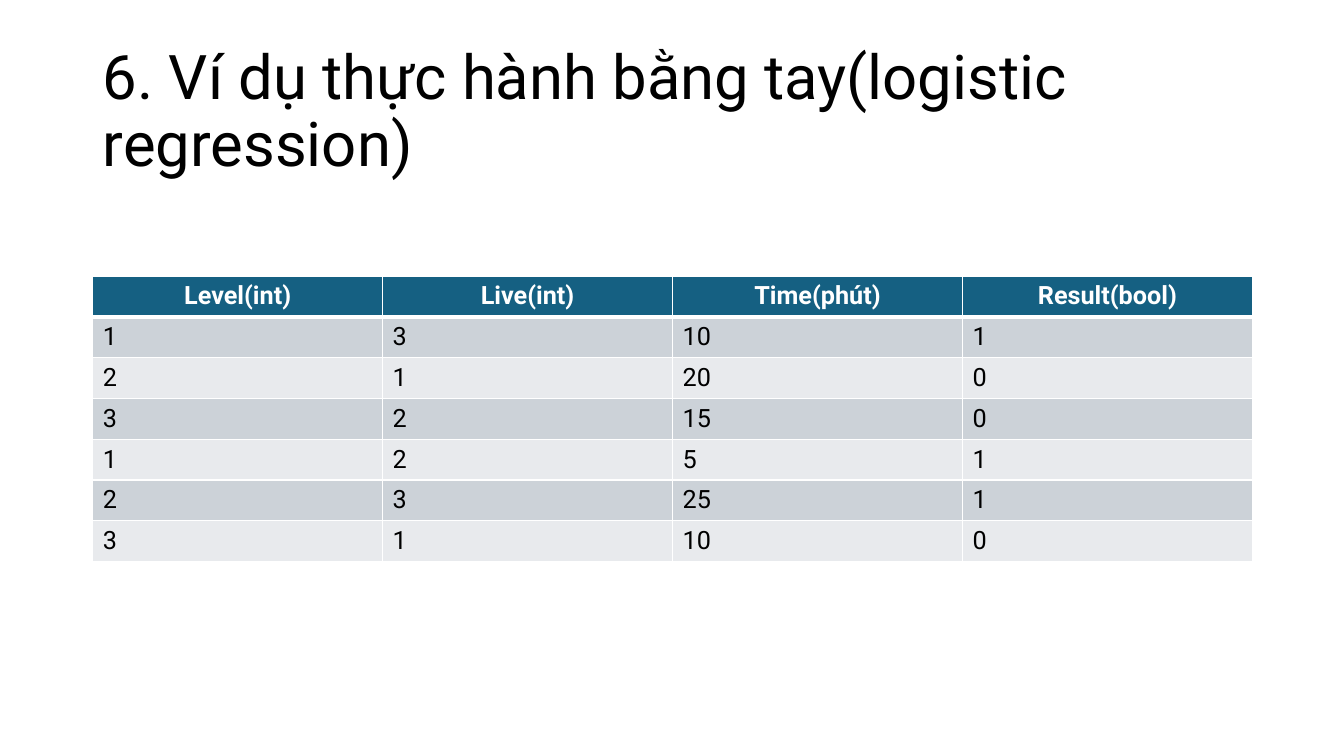
"""Build the slide with the hand-worked logistic regression data table."""
import dataclasses

import lxml.etree
import pptx
import pptx.dml.color
import pptx.enum.text
import pptx.oxml.ns
import pptx.util

FONT = "Roboto"
WIDTH, HEIGHT = pptx.util.Inches(13.33), pptx.util.Inches(7.5)
LEFT, SPAN = 0.069, 0.863
ALIGN = pptx.enum.text.PP_ALIGN
MIDDLE = pptx.enum.text.MSO_ANCHOR.MIDDLE


@dataclasses.dataclass(frozen=True)
class RowStyle:
    """Look of one kind of table row."""
    fill: str
    color: str
    bold: bool
    align: ALIGN
    top: int = 1
    bottom: int = 1


HEADER = RowStyle("156082", "FFFFFF", True, ALIGN.CENTER, bottom=3)
FIRST = RowStyle("CCD2D8", "000000", False, ALIGN.LEFT, top=3)
ODD = dataclasses.replace(FIRST, top=1)
EVEN = dataclasses.replace(ODD, fill="E8EAED")

ROWS = [
    ("Level(int)", "Live(int)", "Time(phút)", "Result(bool)"),
    (1, 3, 10, 1),
    (2, 1, 20, 0),
    (3, 2, 15, 0),
    (1, 2, 5, 1),
    (2, 3, 25, 1),
    (3, 1, 10, 0),
]
STYLES = [HEADER, FIRST, EVEN, ODD, EVEN, ODD, EVEN]


def rgb(value: str) -> pptx.dml.color.RGBColor:
    """Turn a hex string into a colour."""
    return pptx.dml.color.RGBColor.from_string(value)


def write(tf, text: str, size: int, color: str, bold: bool, align: ALIGN) -> None:
    """Put one formatted run into the first paragraph of a text frame."""
    p = tf.paragraphs[0]
    p.alignment = align
    r = p.add_run()
    r.text = text
    r.font.name, r.font.size, r.font.bold = FONT, pptx.util.Pt(size), bold
    r.font.color.rgb = rgb(color)


def border(cell, side: str, points: int) -> None:
    """Add a white line on one side of a cell."""
    qn = pptx.oxml.ns.qn
    ln = lxml.etree.SubElement(cell._tc.get_or_add_tcPr(), qn(f"a:ln{side}"),
                               w=str(pptx.util.Pt(points)))
    fill = lxml.etree.SubElement(ln, qn("a:solidFill"))
    lxml.etree.SubElement(fill, qn("a:srgbClr"), val="FFFFFF")


def draw_cell(cell, text: str, style: RowStyle) -> None:
    """Fill, frame and write one table cell."""
    for side, points in zip("LRTB", (1, 1, style.top, style.bottom)):
        border(cell, side, points)
    cell.fill.solid()
    cell.fill.fore_color.rgb = rgb(style.fill)
    cell.vertical_anchor = MIDDLE
    write(cell.text_frame, text, 18, style.color, style.bold, style.align)


def draw_title(s, text: str) -> None:
    """Move the title placeholder into place and write it."""
    sp = s.shapes.title
    sp.left, sp.top = int(LEFT * WIDTH), int(0.053 * HEIGHT)
    sp.width, sp.height = int(SPAN * WIDTH), int(0.193 * HEIGHT)
    tf = sp.text_frame
    tf.word_wrap, tf.vertical_anchor = True, MIDDLE
    tf.auto_size = pptx.enum.text.MSO_AUTO_SIZE.NONE
    write(tf, text, 44, "000000", False, ALIGN.LEFT)
    tf.paragraphs[0].line_spacing = 0.9


def draw_table(s) -> None:
    """Add the data table with equal rows and columns."""
    table = s.shapes.add_table(
        len(ROWS), len(ROWS[0]), int(LEFT * WIDTH), int(0.365 * HEIGHT),
        int(SPAN * WIDTH), int(0.378 * HEIGHT)).table
    for row, values, style in zip(table.rows, ROWS, STYLES):
        for cell, value in zip(row.cells, values):
            draw_cell(cell, str(value), style)


def main() -> None:
    """Build and save the presentation."""
    prs = pptx.Presentation()
    prs.slide_width, prs.slide_height = WIDTH, HEIGHT
    s = prs.slides.add_slide(prs.slide_layouts.get_by_name("Title Only"))
    draw_title(s, "6. Ví dụ thực hành bằng tay(logistic regression)")
    draw_table(s)
    prs.save("out.pptx")


if __name__ == "__main__":
    main()
